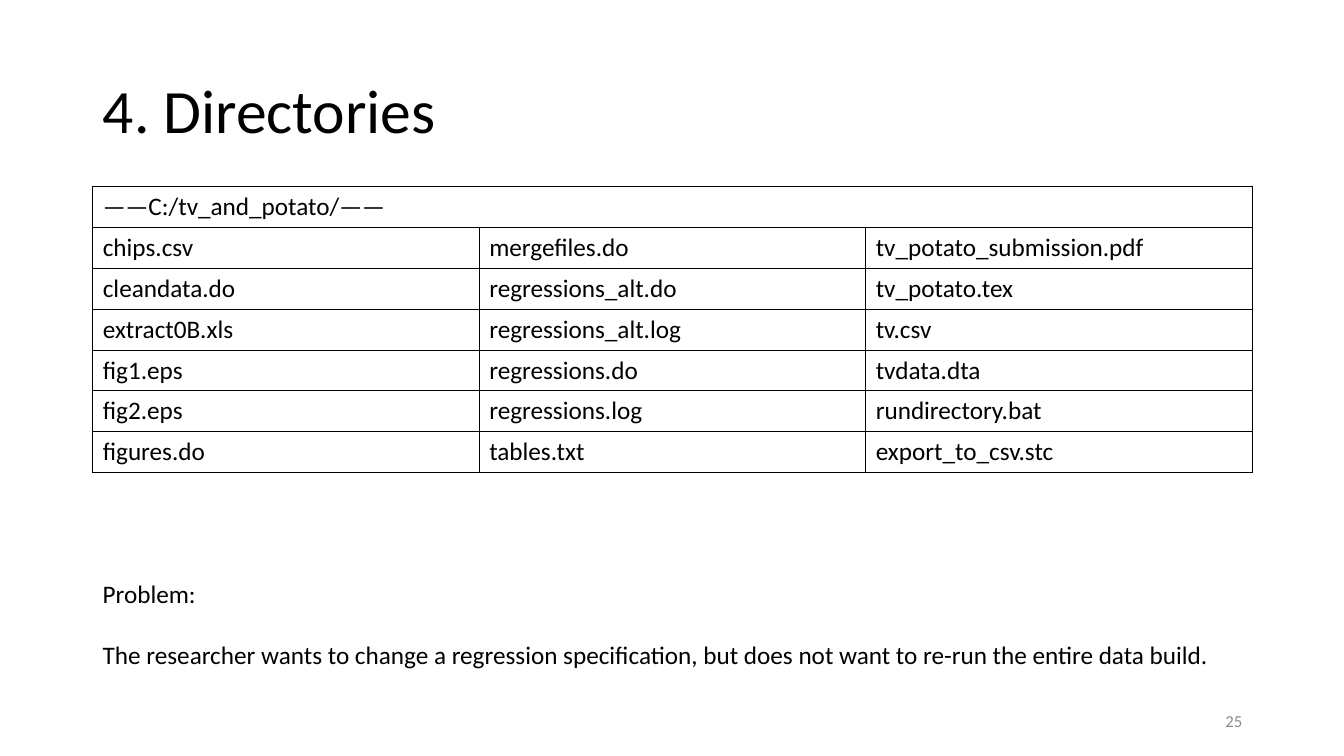
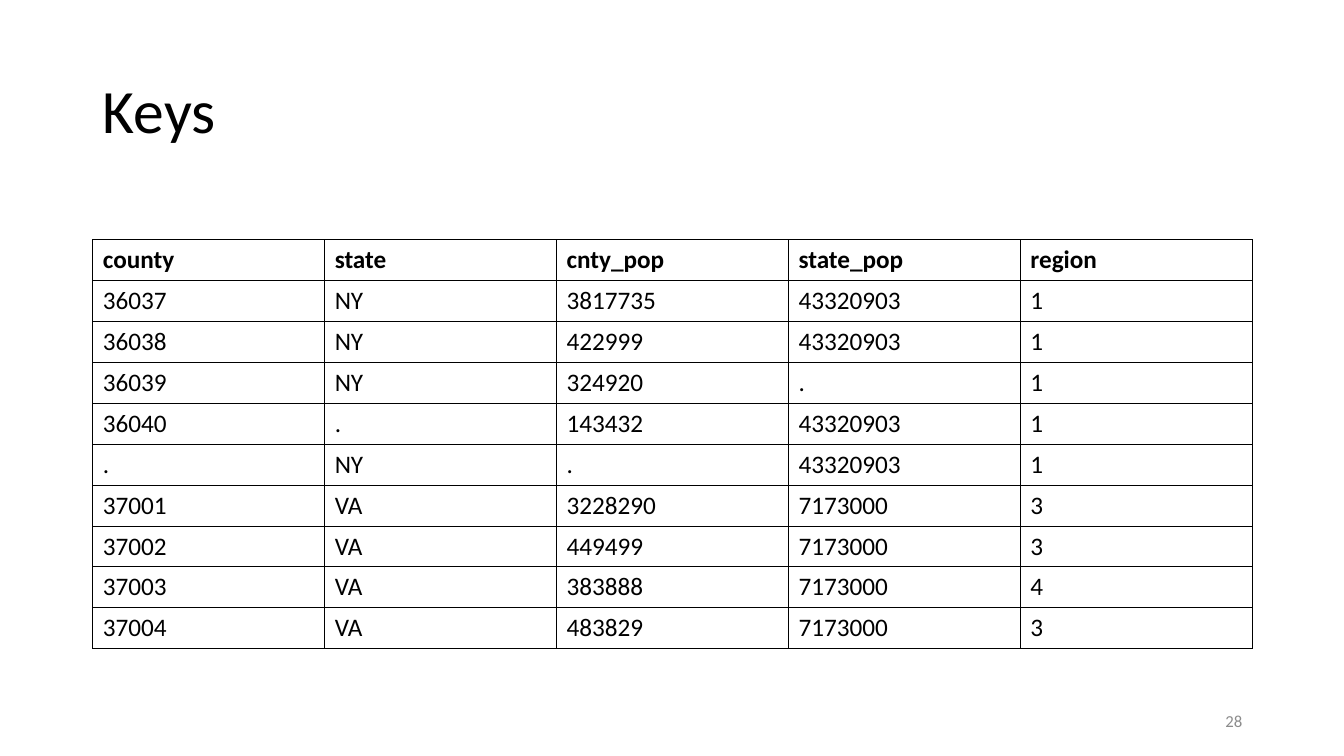
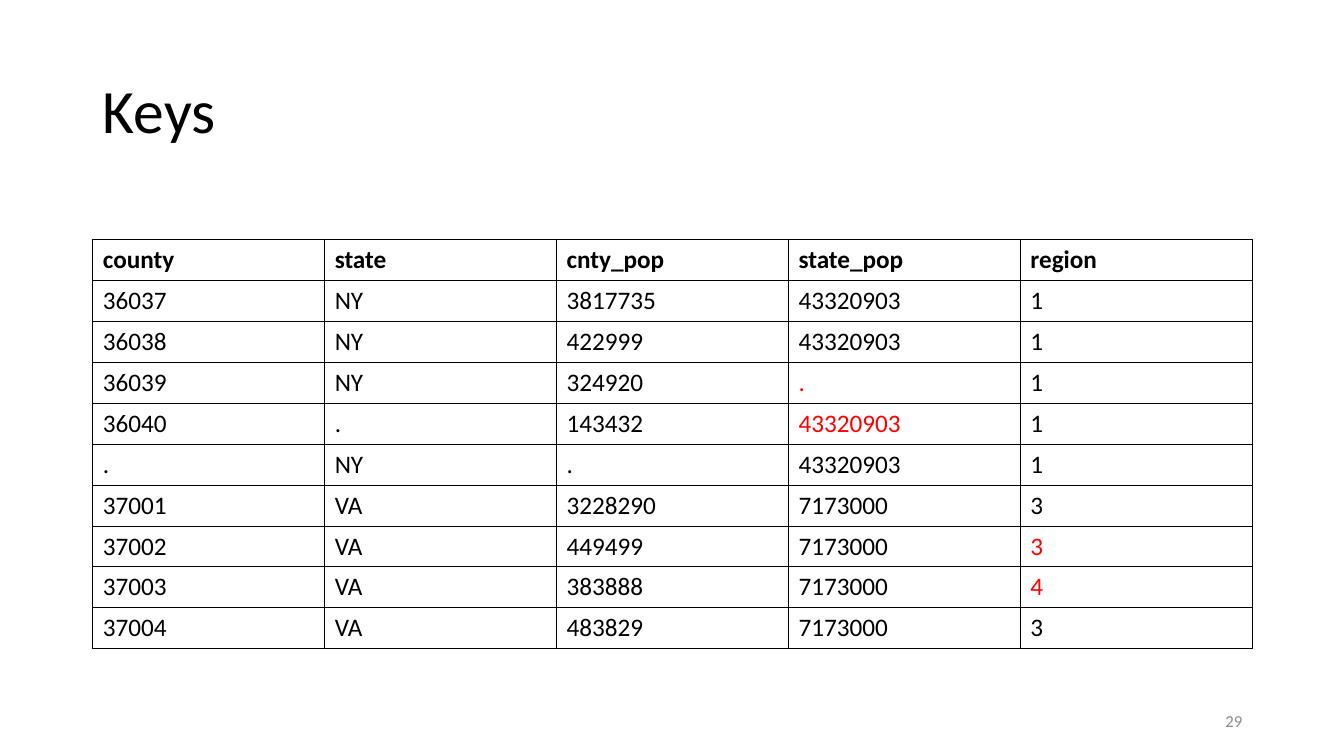
"""Build three slides on data directories and table keys."""
from dataclasses import dataclass

from lxml import etree
from pptx import Presentation
from pptx.dml.color import RGBColor
from pptx.enum.text import MSO_ANCHOR, MSO_AUTO_SIZE, PP_ALIGN
from pptx.oxml.ns import qn
from pptx.slide import Slide
from pptx.table import _Cell
from pptx.text.text import TextFrame, _Paragraph
from pptx.util import Inches, Pt

LEFT, RIGHT = PP_ALIGN.LEFT, PP_ALIGN.RIGHT
MIDDLE = MSO_ANCHOR.MIDDLE
NO_FIT = MSO_AUTO_SIZE.NONE

COLORS = {"ink": "000000", "mark": "FF0000", "page": "8C8C8C"}
FONT = "Calibri"
X, WIDTH = 0.92, 11.5
ROW = 0.4
BODY = 18

FILES = (
    ("——C:/tv_and_potato/——", "", ""),
    ("chips.csv", "mergefiles.do", "tv_potato_submission.pdf"),
    ("cleandata.do", "regressions_alt.do", "tv_potato.tex"),
    ("extract0B.xls", "regressions_alt.log", "tv.csv"),
    ("fig1.eps", "regressions.do", "tvdata.dta"),
    ("fig2.eps", "regressions.log", "rundirectory.bat"),
    ("figures.do", "tables.txt", "export_to_csv.stc"),
)
KEYS = (
    ("county", "state", "cnty_pop", "state_pop", "region"),
    ("36037", "NY", "3817735", "43320903", "1"),
    ("36038", "NY", "422999", "43320903", "1"),
    ("36039", "NY", "324920", ".", "1"),
    ("36040", ".", "143432", "43320903", "1"),
    (".", "NY", ".", "43320903", "1"),
    ("37001", "VA", "3228290", "7173000", "3"),
    ("37002", "VA", "449499", "7173000", "3"),
    ("37003", "VA", "383888", "7173000", "4"),
    ("37004", "VA", "483829", "7173000", "3"),
)
PROBLEM = (
    "Problem:",
    "The researcher wants to change a regression specification, "
    "but does not want to re-run the entire data build.",
)


@dataclass(frozen=True)
class Page:
    """One slide: title, number, table and optional note."""
    title: str
    number: int
    rows: tuple[tuple[str, ...], ...]
    top: float
    span: bool = False
    marks: tuple[tuple[int, int], ...] = ()
    note: tuple[str, ...] = ()


PAGES = (
    Page("4. Directories", 25, FILES, 1.85, span=True, note=PROBLEM),
    Page("Keys", 28, KEYS, 2.38),
    Page("Keys", 29, KEYS, 2.38, marks=((3, 3), (4, 3), (7, 4), (8, 4))),
)


def style(para: _Paragraph, size: int, color: str = "ink",
          bold: bool = False) -> None:
    """Set the font of a paragraph."""
    font = para.font
    font.name, font.size, font.bold = FONT, Pt(size), bold
    font.color.rgb = RGBColor.from_string(COLORS[color])


def border(cell: _Cell) -> None:
    """Draw a thin line on all four sides of a cell."""
    props = cell._tc.get_or_add_tcPr()
    for place, side in enumerate(("lnL", "lnR", "lnT", "lnB")):
        line = etree.Element(qn(f"a:{side}"), w=str(Pt(0.75)))
        fill = etree.SubElement(line, qn("a:solidFill"))
        etree.SubElement(fill, qn("a:srgbClr"), val=COLORS["ink"])
        props.insert(place, line)


def add_title(slide: Slide, text: str) -> None:
    """Place and fill the title."""
    title = slide.shapes.title
    title.left, title.top = Inches(X), Inches(0.4)
    title.width, title.height = Inches(WIDTH), Inches(1.45)
    frame = title.text_frame
    frame.text = text
    frame.auto_size, frame.vertical_anchor = NO_FIT, MIDDLE
    para = frame.paragraphs[0]
    para.alignment, para.line_spacing = LEFT, 0.9
    style(para, 44)


def add_grid(slide: Slide, page: Page) -> None:
    """Add the ruled table of a page."""
    count, cols = len(page.rows), len(page.rows[0])
    table = slide.shapes.add_table(
        count, cols, Inches(X), Inches(page.top),
        Inches(WIDTH), Inches(ROW * count)).table
    table.first_row = not page.span
    table.horz_banding = False
    for r, row in enumerate(page.rows):
        for c, text in enumerate(row):
            cell = table.cell(r, c)
            cell.text = text
            cell.fill.background()
            border(cell)
            color = "mark" if (r, c) in page.marks else "ink"
            style(cell.text_frame.paragraphs[0], BODY, color,
                  bold=r == 0 and not page.span)
    if page.span:
        table.cell(0, 0).merge(table.cell(0, cols - 1))


def add_box(slide: Slide, x: float, y: float, w: float, h: float) -> TextFrame:
    """Add a wrapping text box and return its frame."""
    frame = slide.shapes.add_textbox(
        Inches(x), Inches(y), Inches(w), Inches(h)).text_frame
    frame.word_wrap = True
    return frame


def add_note(slide: Slide, lines: tuple[str, ...]) -> None:
    """Add the note below the table."""
    frame = add_box(slide, X, 5.69, 11.31, 1.01)
    frame.text = "\n".join(lines)
    for para in frame.paragraphs:
        style(para, BODY)
    for para in frame.paragraphs[:-1]:
        para.space_after = Pt(22)


def add_number(slide: Slide, number: int) -> None:
    """Add the page number at the lower right."""
    frame = add_box(slide, 9.42, 6.95, 3, 0.4)
    frame.text = str(number)
    frame.vertical_anchor = MIDDLE
    para = frame.paragraphs[0]
    para.alignment = RIGHT
    style(para, 12, "page")


def main() -> None:
    """Build and save the slides."""
    deck = Presentation()
    deck.slide_width, deck.slide_height = Inches(13.33), Inches(7.5)
    layout = deck.slide_layouts.get_by_name("Title Only")
    for page in PAGES:
        slide = deck.slides.add_slide(layout)
        add_title(slide, page.title)
        add_grid(slide, page)
        add_number(slide, page.number)
        if page.note:
            add_note(slide, page.note)
    deck.save("out.pptx")


if __name__ == "__main__":
    main()
